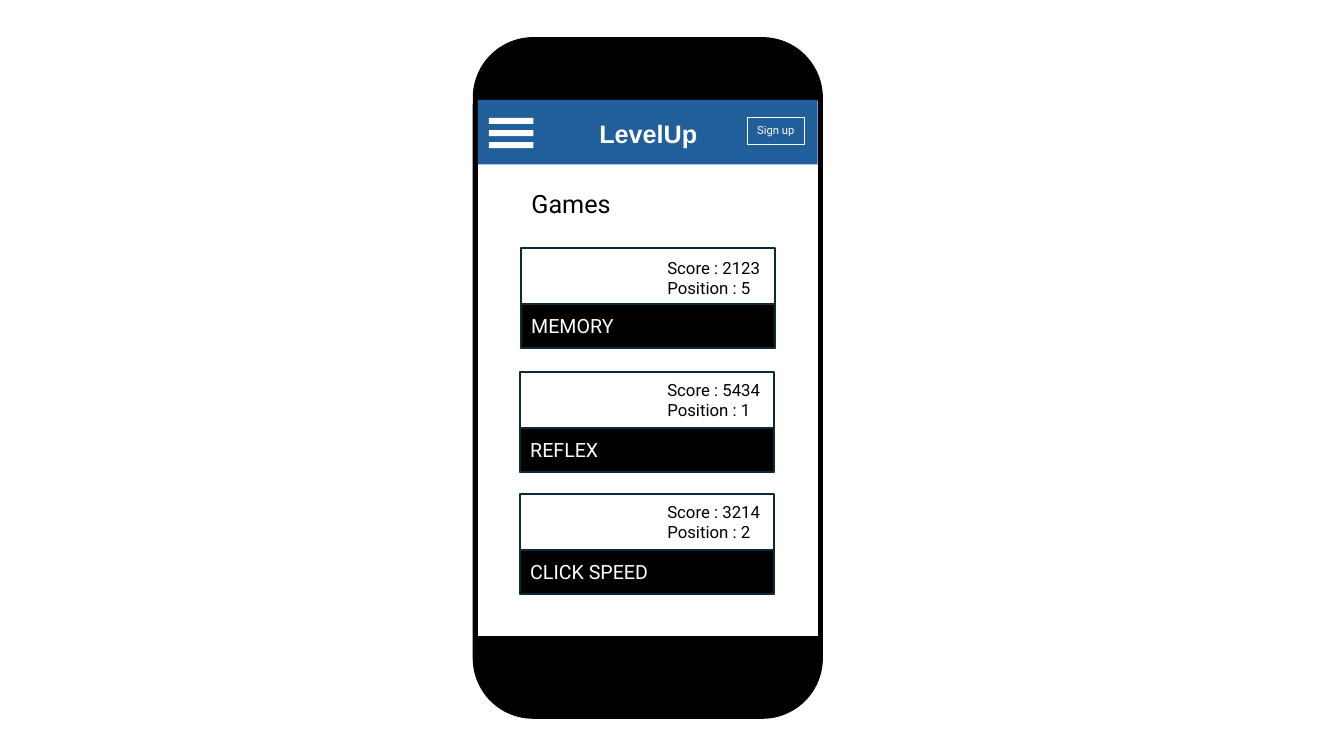
from pptx import Presentation
from pptx.dml.color import RGBColor
from pptx.enum.shapes import MSO_SHAPE
from pptx.enum.text import MSO_ANCHOR, MSO_AUTO_SIZE, PP_ALIGN
from pptx.util import Inches, Pt

RECT, ROUNDED = MSO_SHAPE.RECTANGLE, MSO_SHAPE.ROUNDED_RECTANGLE
TOP, MIDDLE = MSO_ANCHOR.TOP, MSO_ANCHOR.MIDDLE
LEFT, CENTER = PP_ALIGN.LEFT, PP_ALIGN.CENTER
NO_AUTOFIT = MSO_AUTO_SIZE.NONE

# Content
APP_NAME = "LevelUp"
BUTTON = "Sign up"
HEADING = "Games"
# name, score, position, card left, card top, score text top
GAMES = [
    ("MEMORY", 2123, 5, 5.17, 2.46, 2.51),
    ("REFLEX", 5434, 1, 5.16, 3.69, 3.72),
    ("CLICK SPEED", 3214, 2, 5.16, 4.9, 4.93),
]

COLORS = {"black": "000000", "white": "FFFFFF", "header": "215F9A", "border": "092A39"}

# Layout, in inches
PHONE_X, PHONE_W = 4.72, 3.41
CARD_W, CARD_H, LABEL_H = 2.52, 0.99, 0.43
SCORE_X, SCORE_W, SCORE_H = 6.52, 1.16, 0.5
MENU_X, MENU_Y, MENU_W, BAR_H, BAR_STEP = 4.85, 1.17, 0.44, 0.06, 0.12


def color(name):
    return RGBColor.from_string(COLORS[name])


def add_box(shapes, x, y, w, h, fill=None, line=None, weight=1, kind=RECT):
    sp = shapes.add_shape(kind, Inches(x), Inches(y), Inches(w), Inches(h))
    sp.shadow.inherit = False
    if fill:
        sp.fill.solid()
        sp.fill.fore_color.rgb = color(fill)
    else:
        sp.fill.background()
    if line:
        sp.line.color.rgb = color(line)
        sp.line.width = Pt(weight)
    else:
        sp.line.fill.background()
    return sp


def set_text(sp, lines, size, ink, font="Roboto", bold=False,
             align=LEFT, anchor=TOP, wrap=True):
    tf = sp.text_frame
    tf.text = "\n".join(lines)
    tf.word_wrap = wrap
    tf.auto_size = NO_AUTOFIT
    tf.vertical_anchor = anchor
    for p in tf.paragraphs:
        p.alignment = align
        p.font.size = Pt(size)
        p.font.name = font
        p.font.bold = bold
        p.font.color.rgb = color(ink)


def add_label(shapes, x, y, w, h, lines, size, ink, **style):
    sp = shapes.add_textbox(Inches(x), Inches(y), Inches(w), Inches(h))
    set_text(sp, lines, size, ink, **style)


def add_game(shapes, name, score, position, x, y, score_y):
    add_box(shapes, x, y, CARD_W, CARD_H, line="border", weight=1.5)
    label = add_box(shapes, x, y + CARD_H - LABEL_H, CARD_W, LABEL_H,
                    "black", "border", 1.5)
    set_text(label, [name], 14, "white", anchor=MIDDLE)
    add_label(shapes, SCORE_X, score_y, SCORE_W, SCORE_H,
              [f"Score : {score}", f"Position : {position}"], 12, "black")


def main():
    prs = Presentation()
    prs.slide_width, prs.slide_height = Inches(13.33), Inches(7.5)
    s = prs.slides.add_slide(prs.slide_layouts[5])
    shapes = s.shapes

    # Phone body and screen
    phone = shapes.add_group_shape()
    add_box(phone.shapes, PHONE_X, 0.4, PHONE_W, 6.7, "black", "black", 4.5, ROUNDED)
    add_box(phone.shapes, PHONE_X, 0.98, PHONE_W, 5.35, "white", "black", 3)

    # Header with menu icon, app name and button
    add_box(shapes, 4.74, 0.99, 3.37, 0.64, "header")
    for i in range(3):
        add_box(shapes, MENU_X, MENU_Y + i * BAR_STEP, MENU_W, BAR_H, "white")
    add_label(shapes, 5.72, 1.12, 1.42, 0.4, [APP_NAME], 18, "white",
              font="Arial", bold=True, align=CENTER)
    button = add_box(shapes, 7.41, 1.16, 0.57, 0.27, line="white", weight=0.5)
    set_text(button, [BUTTON], 8, "white", align=CENTER, anchor=MIDDLE, wrap=False)

    # Screen heading, raised above the phone
    title = shapes.title
    title.left, title.top = Inches(5.17), Inches(1.82)
    title.width, title.height = Inches(CARD_W), Inches(0.4)
    set_text(title, [HEADING], 18, "black")
    title.element.getparent().append(title.element)

    # Game cards
    for game in GAMES:
        add_game(shapes, *game)

    prs.save("out.pptx")


if __name__ == "__main__":
    main()
